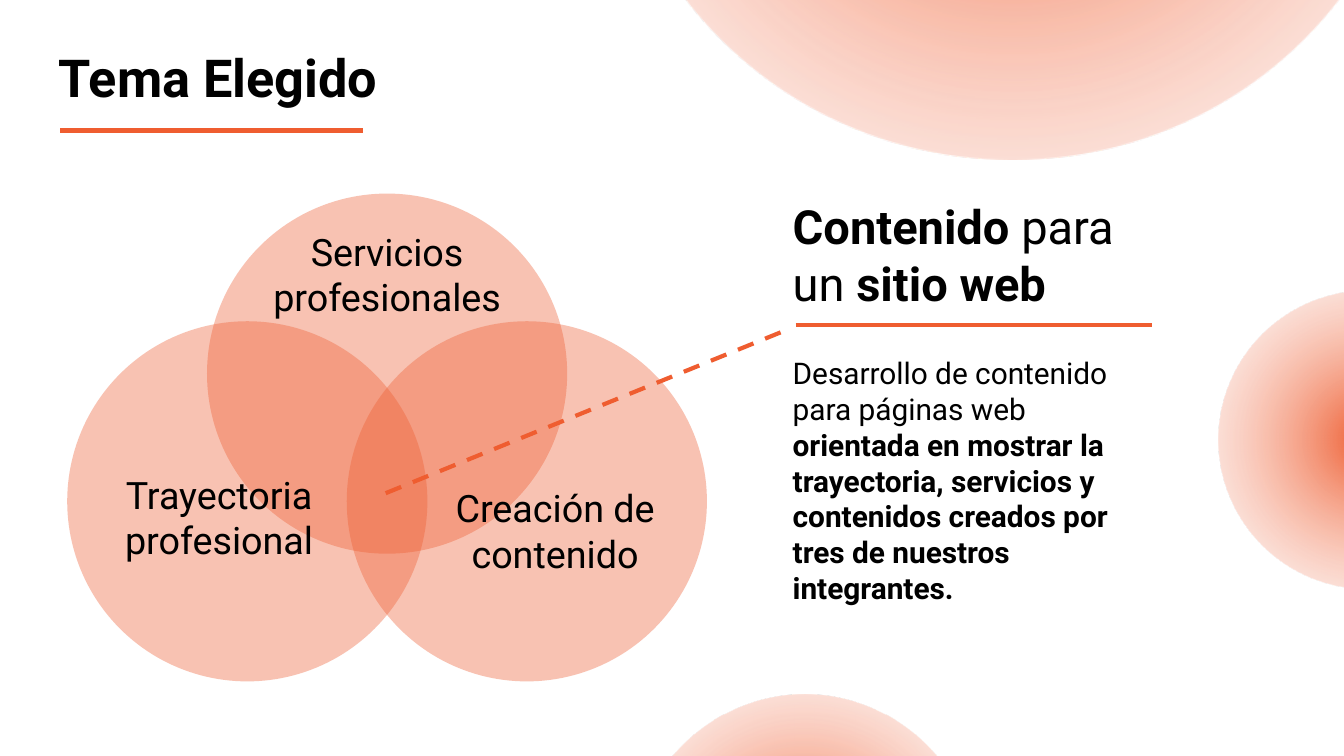
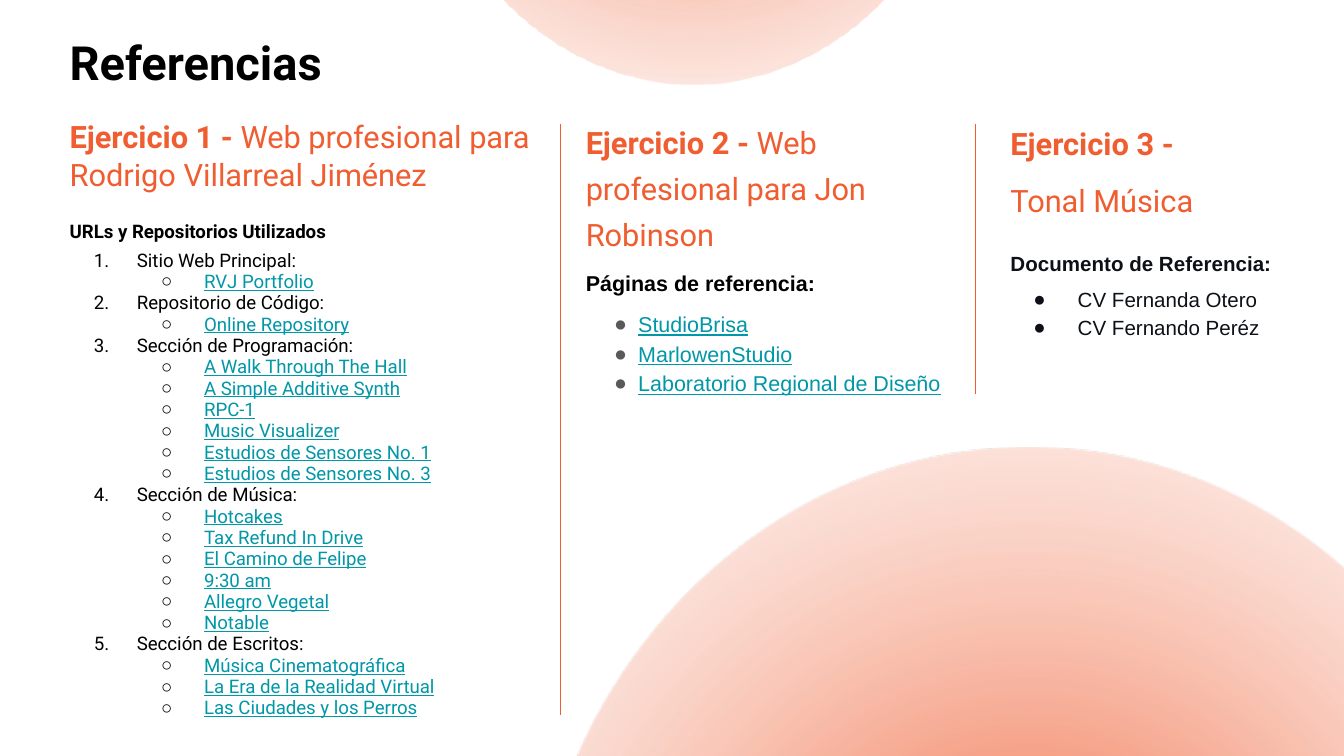
"""Build two slides: the chosen theme as a Venn diagram, and the references."""
from dataclasses import dataclass
from typing import Optional

import lxml.etree
import pptx
import pptx.dml.color
import pptx.enum.dml
import pptx.enum.shapes
import pptx.enum.text
import pptx.oxml.ns
import pptx.presentation
import pptx.shapes.base
import pptx.slide
import pptx.text.text
import pptx.util

qn = pptx.oxml.ns.qn


@dataclass(frozen=True)
class Theme:
    """Colours, fonts and type sizes shared by the slides."""

    accent: str = "EF5D30"
    venn: str = "EE5C30"
    ink: str = "000000"
    dark: str = "0D1117"
    link: str = "0097A7"
    grey: str = "595959"
    heading_font: str = "Roboto"
    plain_font: str = "Arial"
    title: float = 28
    heading: float = 25.2
    label: float = 20.2
    column: float = 16.5
    body: float = 16
    pages: float = 11.5
    documents: float = 11
    listing: float = 10
    venn_alpha: int = 37
    glow: tuple = ((0, "EF5D30", 100), (75, "F7AE98", 34), (100, "FFFFFF", 18))


@dataclass(frozen=True)
class Grid:
    """A grid of 100 columns and 56.25 rows over a 16:9 slide."""

    width: int = pptx.util.Inches(10)
    height: int = pptx.util.Inches(10 * 9 / 16)

    def x(self, columns: float) -> int:
        """Turn columns into a length."""
        return round(self.width * columns / 100)

    def y(self, rows: float) -> int:
        """Turn rows into a length."""
        return round(self.height * rows / 56.25)


THEME = Theme()
GRID = Grid()


@dataclass(frozen=True)
class Box:
    """A place on the grid, in columns and rows."""

    left: float
    top: float
    width: float
    height: float

    def lengths(self) -> tuple[int, int, int, int]:
        """Give left, top, width and height as lengths."""
        return GRID.x(self.left), GRID.y(self.top), GRID.x(self.width), GRID.y(self.height)


@dataclass(frozen=True)
class Rule:
    """A straight line between two grid points."""

    start: tuple[float, float]
    end: tuple[float, float]
    weight: float
    dashed: bool = False


@dataclass(frozen=True)
class Bullet:
    """A list mark with its indents in columns."""

    mark: str
    color: str
    margin: float
    hanging: float
    level: int = 0


@dataclass(frozen=True)
class Line:
    """A paragraph of (text, bold) spans in one style."""

    spans: tuple[tuple[str, bool], ...]
    size: float
    color: str = THEME.ink
    font: str = THEME.heading_font
    spacing: float = 1.0
    before: float = 0
    centered: bool = False
    underlined: bool = False
    bullet: Optional[Bullet] = None


NUMBER = Bullet("1.", THEME.ink, 5, 3.2)
CIRCLE = Bullet("○", THEME.ink, 10, 3.2, level=1)
PAGE_DOT = Bullet("●", THEME.grey, 3.9, 1.8)
DOCUMENT_DOT = Bullet("●", THEME.dark, 5, 3.3)

VENN_SIZE = 26.8
VENN_CIRCLES = [Box(left, top, VENN_SIZE, VENN_SIZE)
                for left, top in ((15.4, 14.4), (25.8, 23.9), (5, 23.9))]
VENN_LABELS = [
    (Box(19.3, 16, 19, 6.3), ("Servicios profesionales",)),
    (Box(31.8, 35.1, 19, 6.3), ("Creación de", "contenido")),
    (Box(6.8, 34.1, 19, 6.3), ("Trayectoria profesional",)),
]
THEME_GLOWS = [Box(44.7, -49.4, 61.3, 61.3), Box(47.1, 51.7, 25.6, 25.6),
               Box(90.7, 21.6, 22.2, 22.2)]
REFERENCE_GLOWS = [Box(29.9, -45.9, 43.4, 52.2), Box(39.4, 33.3, 74.3, 80.5)]
SECTIONS = {
    "Sitio Web Principal:": ["RVJ Portfolio"],
    "Repositorio de Código:": ["Online Repository"],
    "Sección de Programación:": [
        "A Walk Through The Hall", "A Simple Additive Synth", "RPC-1", "Music Visualizer",
        "Estudios de Sensores No. 1", "Estudios de Sensores No. 3"],
    "Sección de Música:": [
        "Hotcakes", "Tax Refund In Drive", "El Camino de Felipe", "9:30 am",
        "Allegro Vegetal", "Notable"],
    "Sección de Escritos:": [
        "Música Cinematográfica", "La Era de la Realidad Virtual", "Las Ciudades y los Perros"],
}
PAGES = ["StudioBrisa", "MarlowenStudio", "Laboratorio Regional de Diseño"]
DOCUMENTS = ["CV Fernanda Otero", "CV Fernando Peréz"]


def rgb(color: str) -> pptx.dml.color.RGBColor:
    """Turn a hex string into a colour."""
    return pptx.dml.color.RGBColor.from_string(color)


def add_element(parent: lxml.etree._Element, tag: str, **attributes: object) -> lxml.etree._Element:
    """Append a child element with attributes."""
    return lxml.etree.SubElement(parent, qn(tag), {key: str(value) for key, value in attributes.items()})


def add_bullet(paragraph: pptx.text.text._Paragraph, bullet: Bullet) -> None:
    """Give a paragraph its list mark and indents."""
    paragraph.level = bullet.level
    properties = paragraph._p.get_or_add_pPr()
    properties.set("marL", str(GRID.x(bullet.margin)))
    properties.set("indent", str(-GRID.x(bullet.hanging)))
    add_element(add_element(properties, "a:buClr"), "a:srgbClr", val=bullet.color)
    if bullet.mark == "1.":
        add_element(properties, "a:buFont", typeface=THEME.heading_font)
        add_element(properties, "a:buAutoNum", type="arabicPeriod")
    else:
        add_element(properties, "a:buFont", typeface=THEME.plain_font)
        add_element(properties, "a:buChar", char=bullet.mark)


def fill_paragraph(paragraph: pptx.text.text._Paragraph, line: Line) -> None:
    """Write one line and format its runs."""
    if line.bullet:
        add_bullet(paragraph, line.bullet)
    paragraph.line_spacing = line.spacing
    paragraph.space_before = pptx.util.Pt(line.before)
    if line.centered:
        paragraph.alignment = pptx.enum.text.PP_ALIGN.CENTER
    for text, bold in line.spans:
        run = paragraph.add_run()
        run.text = text
        run.font.name = line.font
        run.font.size = pptx.util.Pt(line.size)
        run.font.bold = bold
        run.font.underline = line.underlined
        run.font.color.rgb = rgb(line.color)


def draw_text(slide: pptx.slide.Slide, box: Box, lines: list[Line]) -> None:
    """Draw a wrapping text box."""
    text_frame = slide.shapes.add_textbox(*box.lengths()).text_frame
    text_frame.word_wrap = True
    text_frame.margin_left = text_frame.margin_right = GRID.x(1)
    text_frame.margin_top = text_frame.margin_bottom = GRID.y(1)
    for index, line in enumerate(lines):
        fill_paragraph(text_frame.add_paragraph() if index else text_frame.paragraphs[0], line)


def draw_ellipse(slide: pptx.slide.Slide, box: Box) -> pptx.shapes.base.BaseShape:
    """Draw an ellipse without outline or shadow."""
    shape = slide.shapes.add_shape(pptx.enum.shapes.MSO_SHAPE.OVAL, *box.lengths())
    shape.shadow.inherit = False
    shape.line.fill.background()
    return shape


def draw_venn_circle(slide: pptx.slide.Slide, box: Box) -> None:
    """Draw a translucent circle."""
    shape = draw_ellipse(slide, box)
    shape.fill.solid()
    shape.fill.fore_color.rgb = rgb(THEME.venn)
    color = shape._element.spPr.find(qn("a:solidFill")).find(qn("a:srgbClr"))
    add_element(color, "a:alpha", val=THEME.venn_alpha * 1000)


def draw_glow(slide: pptx.slide.Slide, box: Box) -> None:
    """Draw an ellipse that fades from its centre."""
    properties = draw_ellipse(slide, box)._element.spPr
    gradient = lxml.etree.Element(qn("a:gradFill"), rotWithShape="1")
    stops = add_element(gradient, "a:gsLst")
    for position, color, alpha in THEME.glow:
        stop = add_element(stops, "a:gs", pos=position * 1000)
        add_element(add_element(stop, "a:srgbClr", val=color), "a:alpha", val=alpha * 1000)
    focus = add_element(gradient, "a:path", path="circle")
    add_element(focus, "a:fillToRect", l=50000, t=50000, r=50000, b=50000)
    properties.find(qn("a:prstGeom")).addnext(gradient)


def draw_rule(slide: pptx.slide.Slide, rule: Rule) -> None:
    """Draw an accent line."""
    connector = slide.shapes.add_connector(
        pptx.enum.shapes.MSO_CONNECTOR.STRAIGHT,
        GRID.x(rule.start[0]), GRID.y(rule.start[1]), GRID.x(rule.end[0]), GRID.y(rule.end[1]))
    connector.line.color.rgb = rgb(THEME.accent)
    connector.line.width = pptx.util.Pt(rule.weight)
    if rule.dashed:
        connector.line.dash_style = pptx.enum.dml.MSO_LINE.DASH
    add_element(connector._element.spPr, "a:effectLst")


def add_slide(presentation: pptx.presentation.Presentation, title: str, box: Box,
              size: float) -> pptx.slide.Slide:
    """Add a blank slide with its title."""
    slide = presentation.slides.add_slide(presentation.slide_layouts[6])
    draw_text(slide, box, [Line(((title, True),), size)])
    return slide


def build_theme_slide(presentation: pptx.presentation.Presentation) -> None:
    """Build the Venn diagram slide."""
    slide = add_slide(presentation, "Tema Elegido", Box(3.4, 2.4, 32.3, 10.2), THEME.title)
    for box in VENN_CIRCLES:
        draw_venn_circle(slide, box)
    draw_text(slide, Box(58, 13.7, 29, 6.3), [
        Line((("Contenido", True), (" para", False)), THEME.heading),
        Line((("un ", False), ("sitio web", True)), THEME.heading)])
    draw_rule(slide, Rule((28.7, 36.7), (58.9, 24.4), 2.25, dashed=True))
    draw_rule(slide, Rule((59.2, 24.2), (85.7, 24.2), 2.25))
    for box, texts in VENN_LABELS:
        draw_text(slide, box, [Line(((text, False),), THEME.label, centered=True) for text in texts])
    for box in THEME_GLOWS:
        draw_glow(slide, box)
    draw_rule(slide, Rule((4.5, 9.7), (27, 9.7), 3))
    draw_text(slide, Box(58, 25.4, 29, 21), [Line((
        ("Desarrollo de contenido para páginas web ", False),
        ("orientada en mostrar la trayectoria, servicios y contenidos creados por "
         "tres de nuestros integrantes.", True)), THEME.body)])


def section_lines() -> list[Line]:
    """List the numbered sections and their links."""
    lines = []
    for section, links in SECTIONS.items():
        lines.append(Line(((section, False),), THEME.listing, spacing=0.95,
                          before=0 if lines else 4, bullet=NUMBER))
        lines += [Line(((link, False),), THEME.listing, THEME.link, spacing=0.95,
                       underlined=True, bullet=CIRCLE) for link in links]
    return lines


def build_references_slide(presentation: pptx.presentation.Presentation) -> None:
    """Build the three columns of references."""
    slide = add_slide(presentation, "Referencias", Box(4.2, 1.5, 23.1, 6.3), THEME.heading)
    draw_text(slide, Box(4.2, 7.6, 39.2, 38.3), [
        Line((("Ejercicio 1 - ", True), ("Web profesional para Rodrigo Villarreal Jiménez", False)),
             THEME.column, THEME.accent, spacing=1.05),
        Line((("URLs y Repositorios Utilizados", True),), THEME.listing, spacing=1.05, before=14),
        *section_lines()])
    draw_text(slide, Box(42.6, 7.5, 29.1, 24.5), [
        Line((("Ejercicio 2 - ", True), ("Web profesional para Jon Robinson", False)),
             THEME.column, THEME.accent, spacing=1.25),
        Line((("Páginas de referencia:", True),), THEME.pages, font=THEME.plain_font,
             spacing=1.25, before=6),
        *(Line(((page, False),), THEME.pages, THEME.link, THEME.plain_font, 1.15,
               0 if index else 6, underlined=True, bullet=PAGE_DOT)
          for index, page in enumerate(PAGES))])
    for box in REFERENCE_GLOWS:
        draw_glow(slide, box)
    draw_text(slide, Box(74.2, 7.6, 27.8, 24.5), [
        Line((("Ejercicio 3 -", True),), THEME.column, THEME.accent, spacing=1.25),
        Line((("Tonal Música", False),), THEME.column, THEME.accent, spacing=1.25, before=6),
        Line((("Documento de Referencia:", True),), THEME.documents, THEME.dark,
             THEME.plain_font, 1.25, 14),
        *(Line(((document, False),), THEME.documents, THEME.dark, THEME.plain_font, 1.15,
               0 if index else 4, bullet=DOCUMENT_DOT)
          for index, document in enumerate(DOCUMENTS))])
    for column, bottom in ((41.7, 53.2), (72.57, 29.3)):
        draw_rule(slide, Rule((column, 9.2), (column, bottom), 0.75))


def main() -> None:
    """Build and save the presentation."""
    presentation = pptx.Presentation()
    presentation.slide_width, presentation.slide_height = GRID.width, GRID.height
    build_theme_slide(presentation)
    build_references_slide(presentation)
    presentation.save("out.pptx")


if __name__ == "__main__":
    main()
